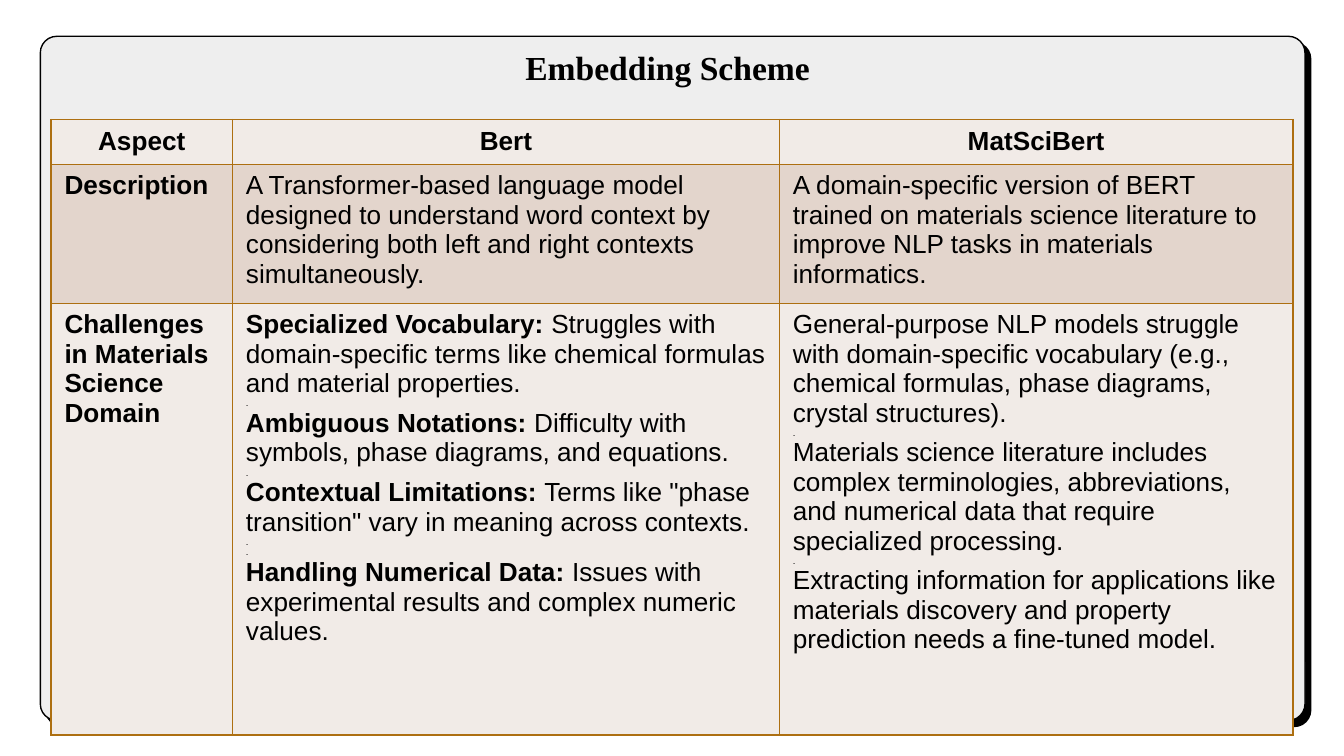
"""Build a slide comparing two embedding schemes in a table on a rounded panel."""
from lxml.etree import SubElement
from pptx import Presentation
from pptx.dml.color import RGBColor
from pptx.enum.shapes import MSO_SHAPE
from pptx.enum.text import PP_ALIGN
from pptx.oxml import parse_xml
from pptx.oxml.ns import nsdecls, qn
from pptx.util import Inches, Pt

COLORS = {"ink": "000000", "panel": "EEEEEE", "border": "AD6F11",
          "light": "F1EBE7", "band": "E3D5CC"}
W = 10
H = W * 9 / 16
COLS = (1.35, 4.07, 3.82)
ROWS = (0.3, 0.72, 3.21)
TABLE_BOX = (0.38, 0.89, 9.25, 4.35)
ROW_FILLS = ("light", "band", "light")
BODY, DOT = 14, 5

TITLE = "Embedding Scheme"
TABLE = [
    [["Aspect"], ["Bert"], ["MatSciBert"]],
    [["Description"],
     ["A Transformer-based language model designed to understand word context by "
      "considering both left and right contexts simultaneously."],
     ["A domain-specific version of BERT trained on materials science literature to "
      "improve NLP tasks in materials informatics."]],
    [["Challenges in Materials Science Domain"],
     ["Specialized Vocabulary: |Struggles with domain-specific terms like chemical "
      "formulas and material properties.\n.",
      "Ambiguous Notations: |Difficulty with symbols, phase diagrams, and equations.\n.",
      "Contextual Limitations: |Terms like \"phase transition\" vary in meaning across "
      "contexts.\n.\n.",
      "Handling Numerical Data: |Issues with experimental results and complex numeric "
      "values."],
     ["General-purpose NLP models struggle with domain-specific vocabulary (e.g., "
      "chemical formulas, phase diagrams, crystal structures).\n.",
      "Materials science literature includes complex terminologies, abbreviations, and "
      "numerical data that require specialized processing.\n.",
      "Extracting information for applications like materials discovery and property "
      "prediction needs a fine-tuned model."]],
]


def rgb(name):
    """Return the named colour."""
    return RGBColor.from_string(COLORS[name])


def write(tf, paragraphs, size=BODY, font="Arial", bold=False, align=PP_ALIGN.LEFT):
    """Write paragraphs, with bold leads before a bar and small lone dots."""
    for i, text in enumerate(paragraphs):
        p = tf.paragraphs[0] if i == 0 else tf.add_paragraph()
        p.alignment = align
        previous = None
        for line in text.split("\n"):
            if previous:
                p.add_line_break()
                SubElement(p._p[-1], qn("a:rPr")).set("sz", str(previous * 100))
            previous = DOT if line == "." else size
            lead, bar, rest = line.rpartition("|")
            for part, strong in ((lead, True), (rest, bold)):
                if part:
                    r = p.add_run()
                    r.text = part
                    r.font.name, r.font.size, r.font.bold = font, Pt(previous), strong
                    r.font.color.rgb = rgb("ink")


def add_panel(s):
    """Add the rounded panel with its hard shadow."""
    sp = s.shapes.add_shape(MSO_SHAPE.ROUNDED_RECTANGLE, Inches(0.3), Inches(0.27),
                            Inches(9.41), Inches(5.09))
    sp.adjustments[0] = 0.024
    sp.fill.solid()
    sp.fill.fore_color.rgb = rgb("panel")
    sp.line.color.rgb = rgb("ink")
    sp.line.width = Pt(0.75)
    sp.shadow.inherit = False
    effects = sp._element.spPr.find(qn("a:effectLst"))
    effects.append(parse_xml(
        f'<a:outerShdw {nsdecls("a")} blurRad="0" dist="{Pt(4.5)}" dir="{47 * 60000}" '
        f'algn="tl" rotWithShape="0"><a:srgbClr val="{COLORS["ink"]}"/></a:outerShdw>'))


def add_title(s):
    """Add the heading in a centred box."""
    width = 2.38
    tf = s.shapes.add_textbox(Inches((W - width) / 2), Inches(0.3),
                              Inches(width), Inches(0.5)).text_frame
    tf.word_wrap = True
    write(tf, [TITLE], size=18, font="Times New Roman", bold=True)


def style_cell(cell, fill):
    """Fill a cell and draw its four borders."""
    cell.fill.solid()
    cell.fill.fore_color.rgb = rgb(fill)
    for i, side in enumerate("LRTB"):
        cell._tc.get_or_add_tcPr().insert(i, parse_xml(
            f'<a:ln{side} {nsdecls("a")} w="{Pt(1)}"><a:solidFill>'
            f'<a:srgbClr val="{COLORS["border"]}"/></a:solidFill></a:ln{side}>'))


def add_comparison(s):
    """Add the comparison table."""
    frame = s.shapes.add_table(len(ROWS), len(COLS), *map(Inches, TABLE_BOX))
    table = frame.table
    table.first_row = table.horz_banding = False
    for column, width in zip(table.columns, COLS):
        column.width = Inches(width)
    for i, (row, height, fill) in enumerate(zip(TABLE, ROWS, ROW_FILLS)):
        table.rows[i].height = Inches(height)
        for j, paragraphs in enumerate(row):
            cell = table.cell(i, j)
            style_cell(cell, fill)
            write(cell.text_frame, paragraphs, bold=i == 0 or j == 0,
                  align=PP_ALIGN.CENTER if i == 0 else PP_ALIGN.LEFT)
    frame.width, frame.height = map(Inches, TABLE_BOX[2:])


def main():
    """Build and save the slide."""
    prs = Presentation()
    prs.slide_width, prs.slide_height = Inches(W), Inches(H)
    s = prs.slides.add_slide(prs.slide_layouts[6])
    add_panel(s)
    add_title(s)
    add_comparison(s)
    prs.save("out.pptx")


if __name__ == "__main__":
    main()
